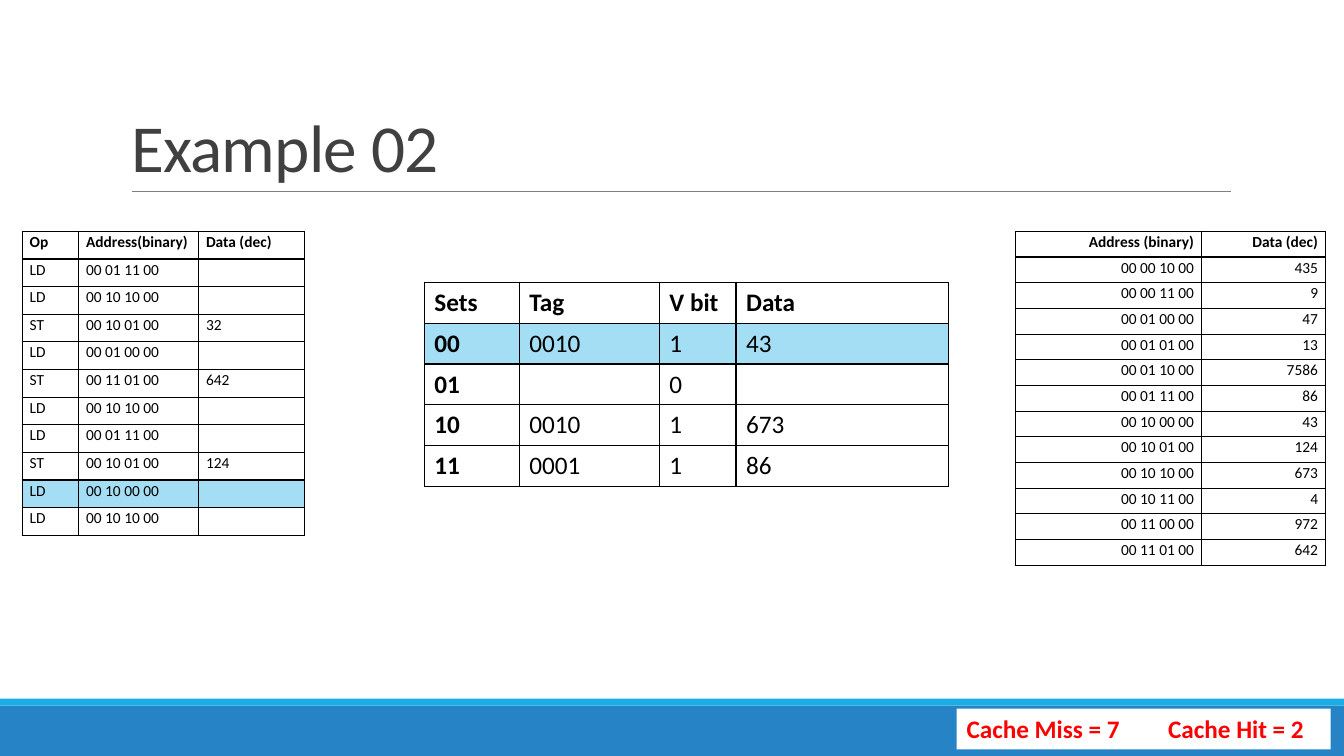
from lxml import etree
from pptx import Presentation
from pptx.dml.color import RGBColor
from pptx.enum import shapes, text
from pptx.oxml import ns
from pptx.util import Pt

FONT = "Calibri"
BLACK = RGBColor(0, 0, 0)
WHITE = RGBColor(0xFF, 0xFF, 0xFF)
RED = RGBColor(0xFF, 0, 0)
TITLE_GREY = RGBColor(0x40, 0x40, 0x40)
RULE_GREY = RGBColor(0x80, 0x80, 0x80)
BAND_BLUE = RGBColor(0x26, 0x83, 0xC6)
STRIPE_BLUE = RGBColor(0x1C, 0xAD, 0xE4)
HIGHLIGHT = RGBColor(0xA4, 0xDE, 0xF4)

OPERATIONS = [
    ("Op", "Address(binary)", "Data (dec)"),
    ("LD", "00 01 11 00", ""),
    ("LD", "00 10 10 00", ""),
    ("ST", "00 10 01 00", "32"),
    ("LD", "00 01 00 00", ""),
    ("ST", "00 11 01 00", "642"),
    ("LD", "00 10 10 00", ""),
    ("LD", "00 01 11 00", ""),
    ("ST", "00 10 01 00", "124"),
    ("LD", "00 10 00 00", ""),
    ("LD", "00 10 10 00", ""),
]
MEMORY = [
    ("Address (binary)", "Data (dec)"),
    ("00 00 10 00", "435"),
    ("00 00 11 00", "9"),
    ("00 01 00 00", "47"),
    ("00 01 01 00", "13"),
    ("00 01 10 00", "7586"),
    ("00 01 11 00", "86"),
    ("00 10 00 00", "43"),
    ("00 10 01 00", "124"),
    ("00 10 10 00", "673"),
    ("00 10 11 00", "4"),
    ("00 11 00 00", "972"),
    ("00 11 01 00", "642"),
]
CACHE = [
    ("Sets", "Tag", "V bit", "Data"),
    ("00", "0010", "1", "43"),
    ("01", "", "0", ""),
    ("10", "0010", "1", "673"),
    ("11", "0001", "1", "86"),
]


def add_span(para, words, size, color, bold=False):
    span = para.add_run()
    span.text = words
    span.font.name = FONT
    span.font.size = Pt(size)
    span.font.bold = bold
    span.font.color.rgb = color
    return span


def add_bar(page, left, top, width, height, color):
    bar = page.shapes.add_shape(shapes.MSO_SHAPE.RECTANGLE,
                                Pt(left), Pt(top), Pt(width), Pt(height))
    bar.shadow.inherit = False
    bar.fill.solid()
    bar.fill.fore_color.rgb = color
    bar.line.fill.background()
    return bar


def add_rule(page, left, right, top):
    rule = page.shapes.add_connector(shapes.MSO_CONNECTOR.STRAIGHT,
                                     Pt(left), Pt(top), Pt(right), Pt(top))
    rule.line.color.rgb = RULE_GREY
    rule.line.width = Pt(0.5)
    etree.SubElement(rule._element.spPr, ns.qn("a:effectLst"))


def set_title(page, words):
    title = page.shapes.title
    title.left, title.top, title.width, title.height = Pt(86.4), Pt(22.3), Pt(792), Pt(114.5)
    frame = title.text_frame
    frame.vertical_anchor = text.MSO_ANCHOR.BOTTOM
    frame.auto_size = text.MSO_AUTO_SIZE.NONE
    para = frame.paragraphs[0]
    para.alignment = text.PP_ALIGN.LEFT
    para.line_spacing = 0.85
    span = add_span(para, words, 48, TITLE_GREY)
    span._r.get_or_add_rPr().set("spc", "-50")


def add_borders(cell):
    properties = cell._tc.get_or_add_tcPr()
    for side in ("lnL", "lnR", "lnT", "lnB"):
        line = etree.SubElement(properties, ns.qn(f"a:{side}"), w=str(Pt(1)))
        fill = etree.SubElement(line, ns.qn("a:solidFill"))
        etree.SubElement(fill, ns.qn("a:srgbClr"), val=str(BLACK))


def add_grid(page, rows, left, top, widths, row_height, size, highlight=None,
             align=text.PP_ALIGN.LEFT, compact=False, bold_first=False):
    frame = page.shapes.add_table(len(rows), len(widths), Pt(left), Pt(top),
                                  Pt(sum(widths)), Pt(row_height * len(rows)))
    grid = frame.table
    grid.first_row = grid.horz_banding = False
    for column, width in zip(grid.columns, widths):
        column.width = Pt(width)
    for r, values in enumerate(rows):
        grid.rows[r].height = Pt(row_height)
        for c, value in enumerate(values):
            cell = grid.cell(r, c)
            add_borders(cell)
            if r == highlight:
                cell.fill.solid()
                cell.fill.fore_color.rgb = HIGHLIGHT
            else:
                cell.fill.background()
            para = cell.text_frame.paragraphs[0]
            para.alignment = align
            if compact:
                cell.margin_left = cell.margin_right = Pt(5.4)
                cell.margin_top = cell.margin_bottom = Pt(0)
                para.line_spacing = 1.07
            if value:
                add_span(para, value, size, BLACK, r == 0 or (bold_first and c == 0))
            else:
                # Keeps an empty cell from growing its row
                etree.SubElement(para._p, ns.qn("a:endParaRPr"), sz=str(size * 100))


def add_score(page, words):
    box = add_bar(page, 683.3, 506.2, 267.1, 29.1, WHITE)
    frame = box.text_frame
    frame.word_wrap = True
    frame.vertical_anchor = text.MSO_ANCHOR.TOP
    para = frame.paragraphs[0]
    para.alignment = text.PP_ALIGN.LEFT
    add_span(para, words, 18, RED, bold=True)


def main():
    deck = Presentation()
    deck.slide_width, deck.slide_height = Pt(960), Pt(540)
    page = deck.slides.add_slide(deck.slide_layouts[5])

    # Footer bands, title and its rule
    add_bar(page, 0, 504, 960, 36, BAND_BLUE)
    add_bar(page, 0, 499, 960, 5, STRIPE_BLUE)
    add_rule(page, 94.3, 879, 136.8)
    set_title(page, "Example 02")

    # Operations, memory and cache state
    add_grid(page, OPERATIONS, 15.8, 165.3, (40.3, 85.7, 75.6), 19.75, 11,
             highlight=9, compact=True)
    add_grid(page, MEMORY, 725.2, 165.3, (133.2, 88.5), 18.35, 11,
             align=text.PP_ALIGN.RIGHT, compact=True)
    add_grid(page, CACHE, 303.1, 201.6, (67.8, 100.1, 54.8, 151.8), 29.2, 18,
             highlight=1, bold_first=True)

    # Running score
    add_score(page, "Cache Miss = 7\tCache Hit = 2")

    deck.save("out.pptx")


if __name__ == "__main__":
    main()
